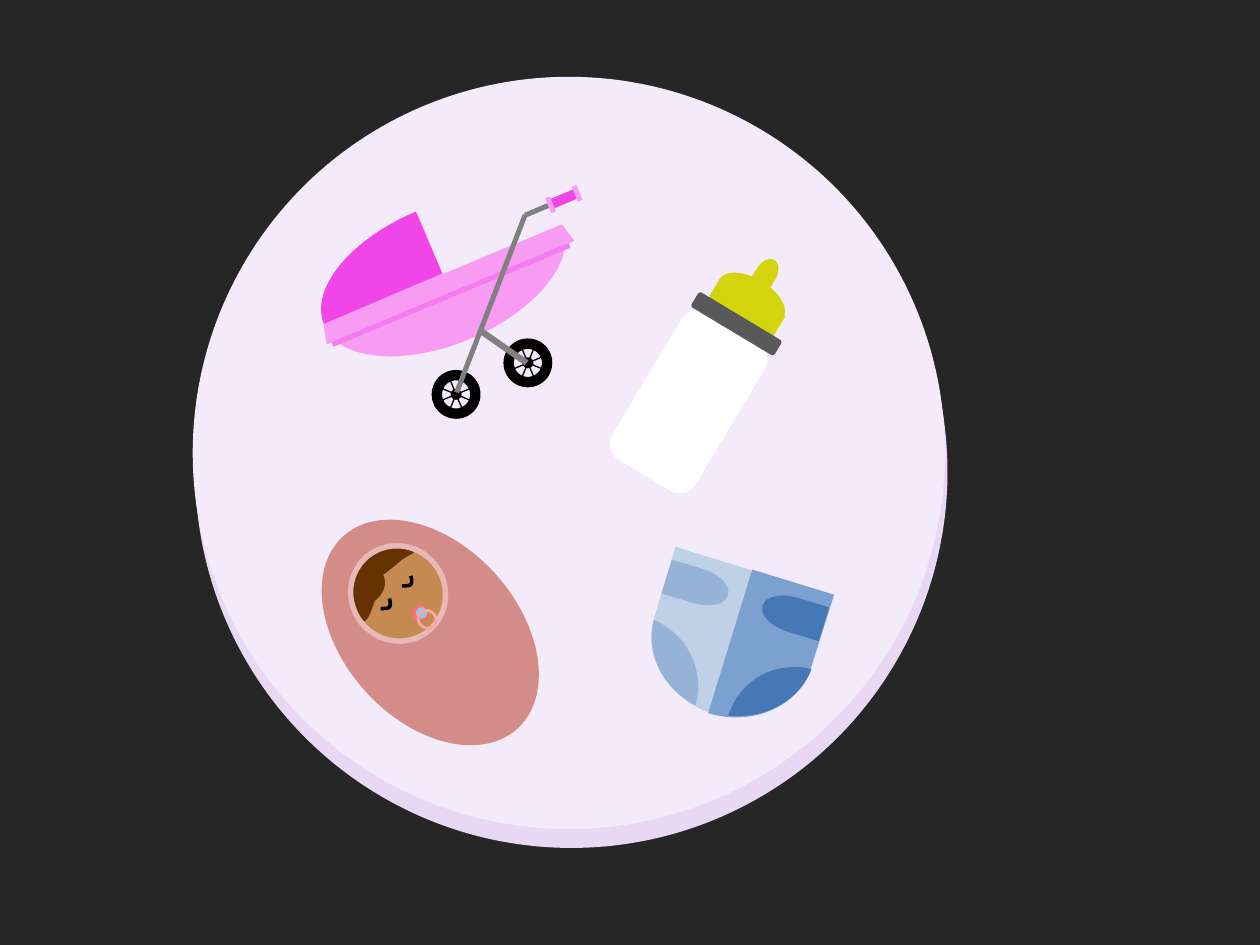
"""Build a slide with a pram, a bottle, a swaddled baby and a diaper on a round plate."""
import math

import lxml.etree
import pptx
import pptx.dml.color
import pptx.enum.shapes
import pptx.oxml.ns
import pptx.util

SCALE = 9144
KIND = pptx.enum.shapes.MSO_SHAPE
OVAL, RECT, ROUND, RING, DOT, DELAY = (
    KIND.OVAL, KIND.RECTANGLE, KIND.ROUNDED_RECTANGLE, KIND.DONUT,
    KIND.FLOWCHART_CONNECTOR, KIND.FLOWCHART_DELAY)

BACKGROUND, BLACK, GREY = "262626", "000000", "808080"
PINK, MAGENTA, YELLOW, HAIR = "F79BF3", "F046E8", "D4D40E", "663300"
PALE_BLUE, SOFT_BLUE, MID_BLUE, DEEP_BLUE = "BFD1E7", "95B3D7", "7CA1CE", "4578B5"
PRAM_TILT, FACE_TILT, TEAT_TILT, DUMMY_TILT, DIAPER_TILT = 337.3, 319.9, 301, 308.8, 16.9
EYE_OFFSETS = [(0, 0), (17, -18)]
EYE = [(309, 475), (310, 478, 310, 481, 309, 482), (308, 483, 305, 483, 302, 483)]

PLATE = [
    ("shape", OVAL, (155, 76, 597, 597), "E8D8F4", {}),
    ("shape", OVAL, (153, 61, 597, 597), "F3EBF9", {}),
]
PRAM = [
    ("shape", RECT, (416, 165, 20, 4), GREY, {"tilt": PRAM_TILT}),
    ("outline", [(331, 169), (352, 219), (446, 180), (458, 207, 425, 247, 373, 269),
                 (321, 291, 269, 286, 258, 259), (246, 231, 279, 191, 331, 169)],
     (250, 165, 204, 108), PINK, {"tilt": PRAM_TILT}),
    ("shape", KIND.TRAPEZOID, (248, 217, 213, 16), PINK, {"tilt": PRAM_TILT}),
    ("shape", RECT, (256, 232, 204, 4), "F47CEE", {"tilt": PRAM_TILT}),
    ("wheel", (419, 288), BLACK, {}),
    ("wheel", (362, 313), BLACK, {}),
    ("shape", RECT, (378, 273, 44, 5), GREY, {"tilt": 34.8}),
    ("outline", [(330, 168), (351, 217), (257, 257), (246, 229, 278, 190, 330, 168)],
     (243, 185, 102, 54), MAGENTA, {"tilt": PRAM_TILT}),
    ("shape", RECT, (314, 239, 151, 4), GREY, {"tilt": 111.1}),
    ("shape", ROUND, (443, 147, 8, 22), MAGENTA, {"tilt": 67.3}),
    ("shape", ROUND, (435, 156, 4, 13), PINK, {"tilt": PRAM_TILT}),
    ("shape", ROUND, (456, 147, 4, 13), PINK, {"tilt": PRAM_TILT}),
]
BOTTLE = [
    ("shape", ROUND, (508, 251, 77, 136), "FFFFFF", {"tilt": 31, "adjust": 0.19}),
    ("shape", DELAY, (595, 209, 26, 17), YELLOW, {"tilt": TEAT_TILT}),
    ("shape", DELAY, (581, 207, 31, 59), YELLOW, {"tilt": TEAT_TILT}),
    ("shape", RECT, (563, 234, 59, 22), YELLOW, {"tilt": 31}),
    ("shape", ROUND, (546, 250, 77, 14), "595959", {"tilt": 31}),
]
BABY = [
    ("shape", OVAL, (272, 399, 139, 206), "D48C88", {"tilt": 317.9}),
    ("shape", DOT, (279, 433, 75, 75), "C58A4F", {"tilt": FACE_TILT}),
    ("outline", [(289, 493), (285, 491, 279, 474, 279, 466), (280, 457, 291, 440, 294, 441),
                 (297, 443, 293, 461, 293, 466), (292, 470, 298, 470, 298, 475),
                 (297, 479, 292, 494, 289, 493)],
     (272, 448, 37, 37), HAIR, {"tilt": FACE_TILT}),
    ("outline", [(292, 466), (293, 459, 291, 449, 292, 446), (294, 444, 288, 435, 301, 450),
                 (316, 472, 289, 481, 288, 484), (286, 487, 292, 472, 292, 466)],
     (274, 448, 32, 31), HAIR, {"tilt": FACE_TILT}),
    ("outline", [(298, 459), (293, 459, 288, 447, 291, 443), (293, 439, 311, 431, 312, 432),
                 (312, 434, 303, 432, 309, 433), (314, 431, 326, 435, 328, 437),
                 (331, 438, 326, 440, 321, 443), (316, 446, 303, 459, 298, 459)],
     (290, 432, 40, 24), HAIR, {"tilt": 345.6}),
    ("shape", RING, (278, 432, 76, 78), "E6B9B8",
     {"tilt": FACE_TILT, "adjust": 0.02, "line": "E6B9B8"}),
    *[("outline", EYE, (302, 478, 10, 5), None, {"tilt": 133.4, "line": BLACK, "offset": offset})
      for offset in EYE_OFFSETS],
    ("shape", DOT, (327, 480, 13, 13), "FC7070", {"tilt": DUMMY_TILT}),
    ("shape", DOT, (330, 482, 9, 9), "95C2F3", {"tilt": DUMMY_TILT}),
    ("shape", RING, (331, 483, 16, 17), "FDA5A5", {"tilt": DUMMY_TILT, "adjust": 0.14}),
]
DIAPER = [
    ("outline", [(536, 434), (601, 454), (567, 567), (531, 556, 510, 522, 519, 491)],
     (492, 467, 119, 68), PALE_BLUE, {"tilt": 106.9}),
    ("shape", DELAY, (528, 451, 51, 28), SOFT_BLUE, {"tilt": DIAPER_TILT}),
    ("outline", [(519, 492), (545, 503, 560, 532, 552, 560), (526, 546, 512, 519, 519, 492)],
     (509, 499, 52, 55), SOFT_BLUE, {"tilt": DIAPER_TILT}),
    ("outline", [(662, 472), (597, 452), (562, 566), (598, 577, 635, 560, 644, 529)],
     (553, 485, 119, 68), MID_BLUE, {"tilt": 286.9}),
    ("shape", DELAY, (604, 474, 51, 28), DEEP_BLUE, {"tilt": DIAPER_TILT + 180}),
    ("outline", [(644, 531), (615, 524, 587, 540, 578, 568), (607, 571, 635, 556, 644, 531)],
     (585, 522, 52, 55), DEEP_BLUE, {"tilt": DIAPER_TILT}),
]


def px(length):
    return round(length * SCALE)


def color(value):
    return pptx.dml.color.RGBColor.from_string(value)


def add_tag(parent, name, **attributes):
    return lxml.etree.SubElement(parent, pptx.oxml.ns.qn(f"a:{name}"), **attributes)


def paint(shape, fill, tilt, line):
    shape.rotation = tilt
    shape.shadow.inherit = False
    if fill:
        shape.fill.solid()
        shape.fill.fore_color.rgb = color(fill)
    else:
        shape.fill.background()
    if line:
        shape.line.color.rgb = color(line)
        shape.line.width = pptx.util.Pt(2)
    else:
        shape.line.fill.background()


def add_shape(shapes, kind, place, fill, tilt=0, adjust=None, line=None):
    shape = shapes.add_shape(kind, *map(px, place))
    if adjust is not None:
        shape.adjustments[0] = adjust
    paint(shape, fill, tilt, line)


def add_outline(shapes, steps, place, fill, tilt=0, line=None, offset=(0, 0)):
    left, top, width, height = place
    x, y = left + offset[0], top + offset[1]
    builder = shapes.build_freeform(px(x), px(y))
    builder.add_line_segments([(px(x + width), px(y)), (px(x + width), px(y + height)),
                               (px(x), px(y + height))])
    shape = builder.convert_to_shape()
    track = shape._element.xpath(".//a:path")[0]
    for child in list(track):
        track.remove(child)
    cosine, sine = math.cos(math.radians(tilt)), math.sin(math.radians(tilt))
    for index, step in enumerate(steps):
        name = "moveTo" if index == 0 else "lnTo" if len(step) == 2 else "cubicBezTo"
        segment = add_tag(track, name)
        for across, down in zip(step[::2], step[1::2]):
            dx, dy = across - left - width / 2, down - top - height / 2
            add_tag(segment, "pt", x=str(px(width / 2 + dx * cosine + dy * sine)),
                    y=str(px(height / 2 - dx * sine + dy * cosine)))
    if fill:
        add_tag(track, "close")
    paint(shape, fill, tilt, line)


def add_wheel(shapes, center, fill):
    x, y = center
    for kind, radius, adjust in ((DOT, 3, None), (RING, 18, 0.15)):
        add_shape(shapes, kind, (x - radius, y - radius, 2 * radius, 2 * radius), fill,
                  tilt=PRAM_TILT, adjust=adjust, line=fill)
    for spoke in range(4):
        angle = math.radians(22.5 + 45 * spoke)
        dx, dy = 18 * math.cos(angle), 18 * math.sin(angle)
        connector = shapes.add_connector(pptx.enum.shapes.MSO_CONNECTOR.STRAIGHT,
                                         px(x - dx), px(y - dy), px(x + dx), px(y + dy))
        connector.line.color.rgb = color(fill)
        connector.line.width = pptx.util.Pt(0.75)
        add_tag(connector._element.spPr, "effectLst")


def main():
    deck = pptx.Presentation()
    deck.slide_width, deck.slide_height = px(1000), px(750)
    page = deck.slides.add_slide(deck.slide_layouts[6])
    page.background.fill.solid()
    page.background.fill.fore_color.rgb = color(BACKGROUND)
    draw = {"shape": add_shape, "outline": add_outline, "wheel": add_wheel}
    for parts in (PLATE, PRAM, BOTTLE, BABY, DIAPER):
        group = page.shapes.add_group_shape()
        for part, *details, options in parts:
            draw[part](group.shapes, *details, **options)
    deck.save("out.pptx")


if __name__ == "__main__":
    main()
